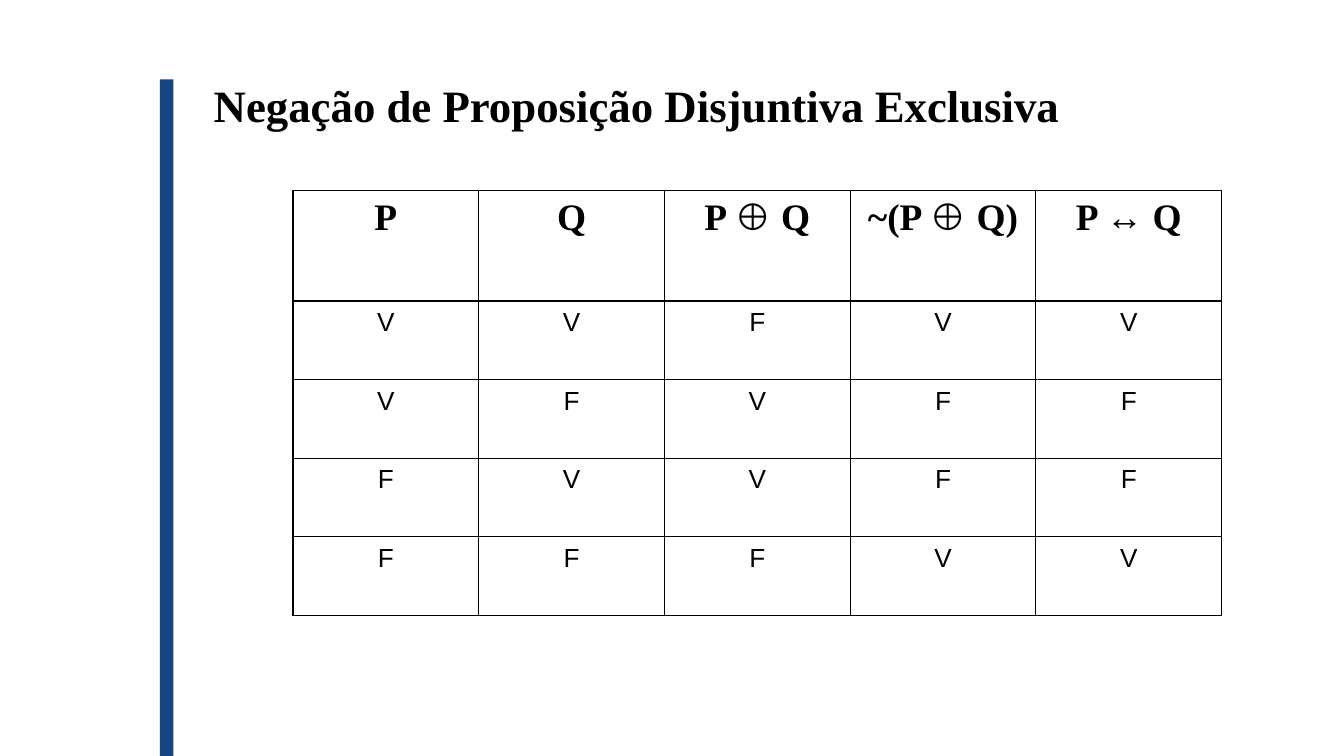
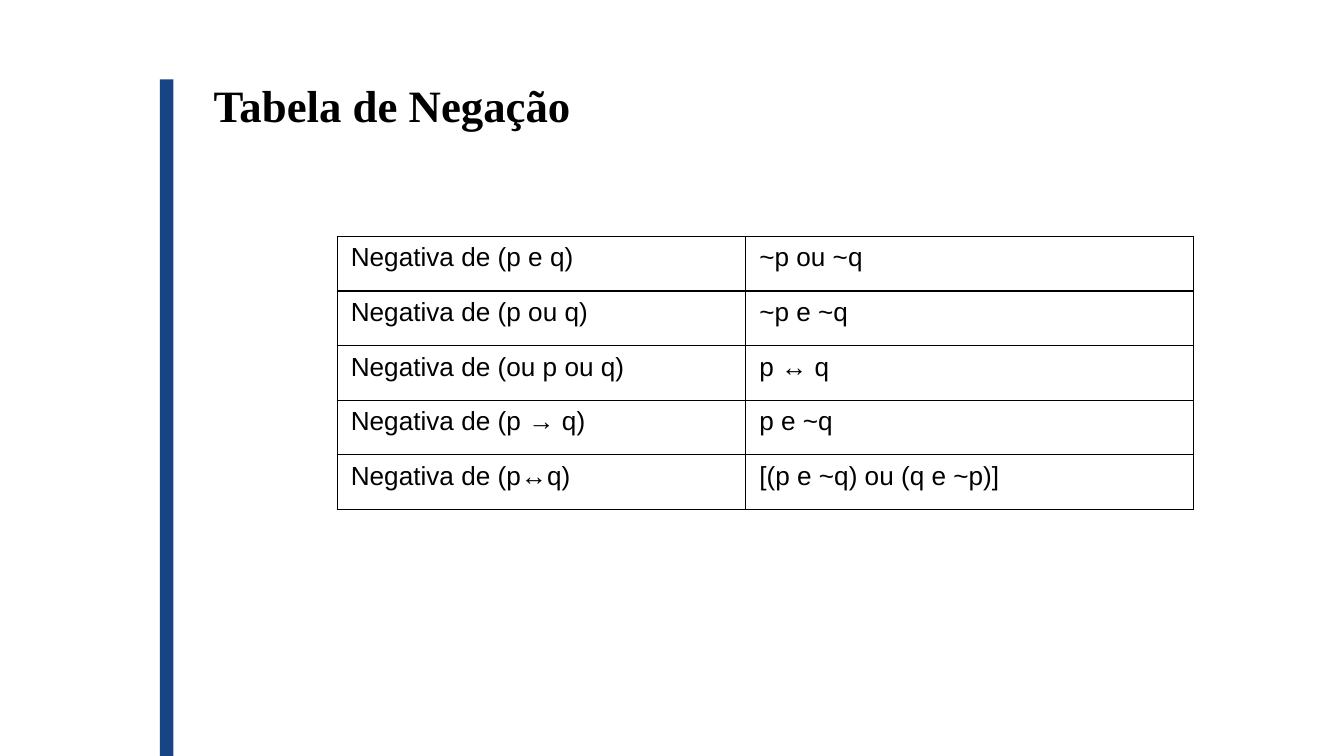
from dataclasses import dataclass

from lxml.etree import SubElement
from pptx import Presentation
from pptx.dml.color import RGBColor
from pptx.enum.shapes import MSO_SHAPE
from pptx.enum.text import MSO_ANCHOR, MSO_AUTO_SIZE, PP_ALIGN
from pptx.oxml.ns import qn
from pptx.util import Inches, Pt

SLIDE_WIDTH = Inches(10)
SLIDE_HEIGHT = SLIDE_WIDTH * 9 // 16
BAND_BLUE = RGBColor(0x17, 0x45, 0x84)
BLACK = RGBColor(0, 0, 0)
WHITE = RGBColor(0xFF, 0xFF, 0xFF)
SERIF = "Times New Roman"
SANS = "Arial"
TITLE_ONLY = 5
IMPLIES = "→"


@dataclass(frozen=True)
class TextStyle:
    size: float
    font: str
    bold: bool = False
    align: PP_ALIGN = PP_ALIGN.LEFT


@dataclass(frozen=True)
class LogicTable:
    left: float
    top: float
    column_widths: list[float]
    row_heights: list[float]
    rows: list[list[str]]
    body_style: TextStyle
    header_style: TextStyle | None = None


@dataclass(frozen=True)
class LogicSlide:
    title: str
    table: LogicTable


TITLE_STYLE = TextStyle(24, SERIF, bold=True)

HEADER_HEIGHT = 0.82
TRUTH_TABLE = LogicTable(
    left=2.18,
    top=1.42,
    column_widths=[6.91 / 5] * 5,
    row_heights=[HEADER_HEIGHT] + [(3.16 - HEADER_HEIGHT) / 4] * 4,
    rows=[
        ["P", "Q", "P ⊕ Q", "~(P ⊕ Q)", "P ↔ Q"],
        ["V", "V", "F", "V", "V"],
        ["V", "F", "V", "F", "F"],
        ["F", "V", "V", "F", "F"],
        ["F", "F", "F", "V", "V"],
    ],
    body_style=TextStyle(14, SANS, align=PP_ALIGN.CENTER),
    header_style=TextStyle(20, SERIF, bold=True, align=PP_ALIGN.CENTER),
)

NEGATION_TABLE = LogicTable(
    left=2.51,
    top=1.76,
    column_widths=[3.04, 3.33],
    row_heights=[2.03 / 5] * 5,
    rows=[
        ["Negativa de (p e q)", "~p ou ~q"],
        ["Negativa de (p ou q)", "~p e ~q"],
        ["Negativa de (ou p ou q)", "p ↔ q"],
        ["Negativa de (p → q)", "p e ~q"],
        ["Negativa de (p↔q)", "[(p e ~q) ou (q e ~p)]"],
    ],
    body_style=TextStyle(14, SANS),
)

SLIDES = [
    LogicSlide("Negação de Proposição Disjuntiva Exclusiva", TRUTH_TABLE),
    LogicSlide("Tabela de Negação", NEGATION_TABLE),
]


def write(paragraph, text: str, style: TextStyle) -> None:
    """Write text in one style; the implication arrow is set in the serif font."""
    before, arrow, after = text.partition(IMPLIES)
    paragraph.text = before
    for part in filter(None, (arrow, after)):
        paragraph.add_run().text = part
    paragraph.alignment = style.align
    for run in paragraph.runs:
        run.font.size = Pt(style.size)
        run.font.name = SERIF if run.text == IMPLIES else style.font
        run.font.bold = style.bold
        run.font.color.rgb = BLACK


def add_band(slide) -> None:
    top = Inches(0.59)
    band = slide.shapes.add_shape(
        MSO_SHAPE.RECTANGLE, Inches(1.19), top, Inches(0.1), SLIDE_HEIGHT - top
    )
    band.shadow.inherit = False
    band.fill.solid()
    band.fill.fore_color.rgb = BAND_BLUE
    band.line.fill.background()


def set_title(slide, text: str) -> None:
    title = slide.shapes.title
    title.left, title.top = Inches(1.49), Inches(0.53)
    title.width, title.height = Inches(8.69), Inches(0.5)
    frame = title.text_frame
    frame.word_wrap = True
    frame.auto_size = MSO_AUTO_SIZE.SHAPE_TO_FIT_TEXT
    frame.vertical_anchor = MSO_ANCHOR.TOP
    write(frame.paragraphs[0], text, TITLE_STYLE)


def set_borders(cell) -> None:
    properties = cell._tc.get_or_add_tcPr()
    # Border lines must come before the cell fill
    for position, side in enumerate(("lnL", "lnR", "lnT", "lnB")):
        border = SubElement(properties, qn(f"a:{side}"), w=str(int(Pt(0.75))))
        fill = SubElement(border, qn("a:solidFill"))
        SubElement(fill, qn("a:srgbClr"), val=str(BLACK))
        properties.insert(position, border)


def add_logic_table(slide, content: LogicTable) -> None:
    table = slide.shapes.add_table(
        len(content.row_heights),
        len(content.column_widths),
        Inches(content.left),
        Inches(content.top),
        Inches(sum(content.column_widths)),
        Inches(sum(content.row_heights)),
    ).table
    table.first_row = content.header_style is not None
    table.horz_banding = False
    for column, width in zip(table.columns, content.column_widths):
        column.width = Inches(width)
    for row, height in zip(table.rows, content.row_heights):
        row.height = Inches(height)

    for row_index, texts in enumerate(content.rows):
        is_header = row_index == 0 and content.header_style
        style = content.header_style if is_header else content.body_style
        for column_index, text in enumerate(texts):
            cell = table.cell(row_index, column_index)
            cell.fill.background()
            set_borders(cell)
            write(cell.text_frame.paragraphs[0], text, style)


def main() -> None:
    presentation = Presentation()
    presentation.slide_width = SLIDE_WIDTH
    presentation.slide_height = SLIDE_HEIGHT

    # Shared background
    background = presentation.slide_master.background.fill
    background.solid()
    background.fore_color.rgb = WHITE

    for content in SLIDES:
        slide = presentation.slides.add_slide(presentation.slide_layouts[TITLE_ONLY])
        add_band(slide)
        set_title(slide, content.title)
        add_logic_table(slide, content.table)

    presentation.save("out.pptx")


if __name__ == "__main__":
    main()
